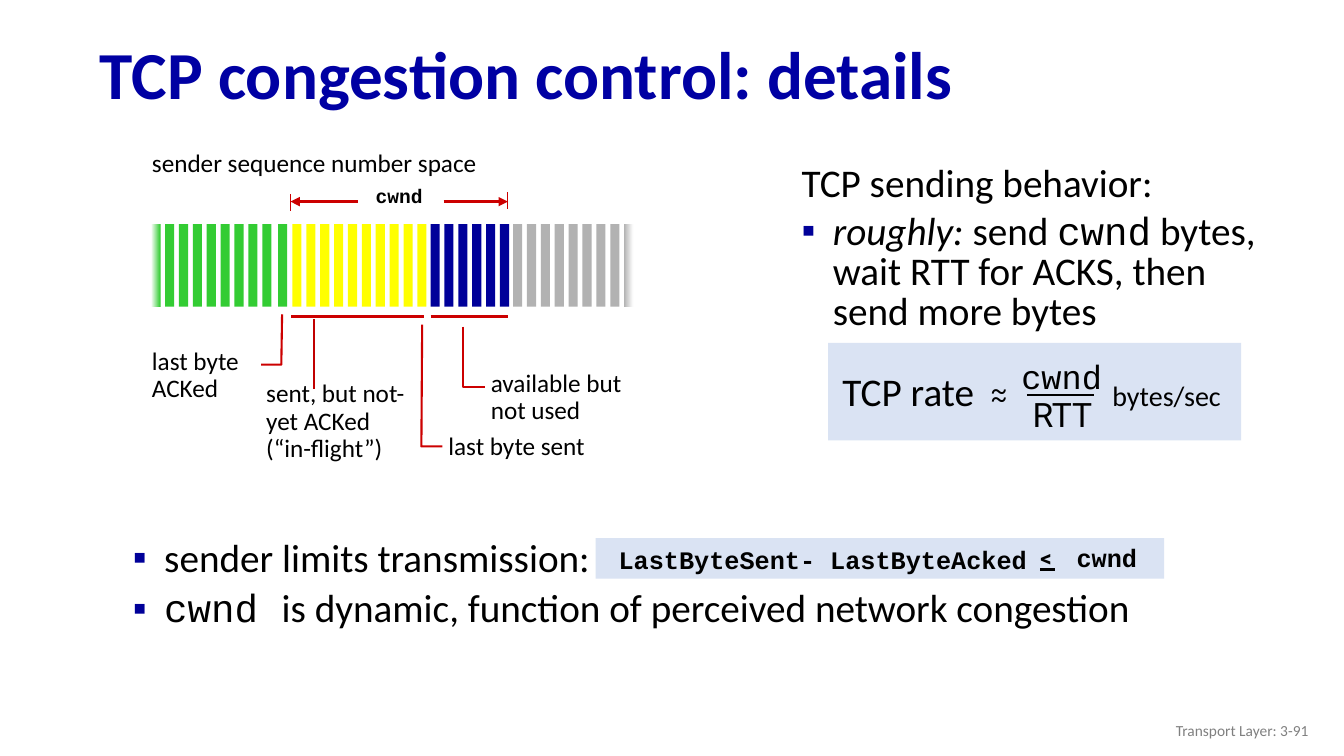
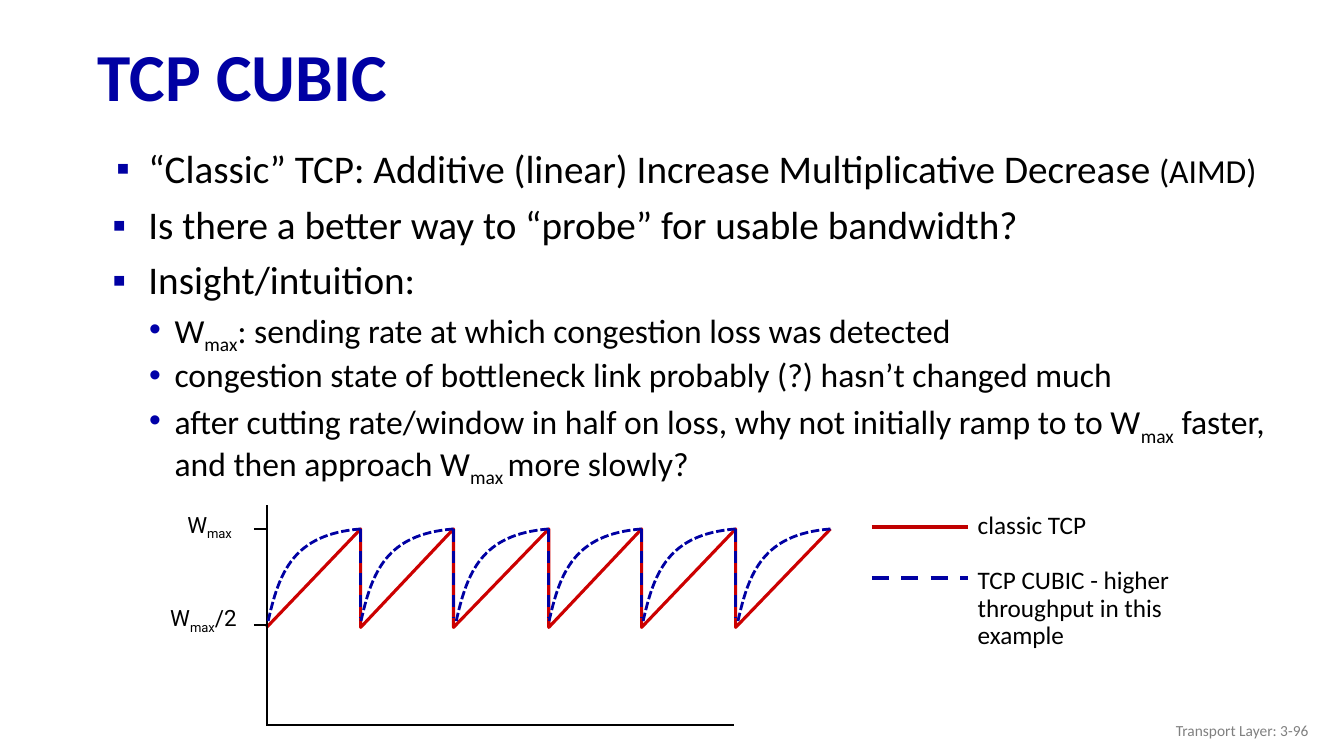
from dataclasses import dataclass

import lxml.etree
import pptx
import pptx.dml.color
import pptx.enum.dml
import pptx.enum.shapes
import pptx.enum.text
import pptx.oxml.ns
import pptx.util

Cm = pptx.util.Cm
Pt = pptx.util.Pt
Align = pptx.enum.text.PP_ALIGN
Anchor = pptx.enum.text.MSO_ANCHOR
Dash = pptx.enum.dml.MSO_LINE
qn = pptx.oxml.ns.qn
Point = tuple[float, float]
Area = tuple[float, float, float, float]

NAVY, BLUE, RED = "0000A3", "000099", "CC0000"
DARK_RED, BLACK, WHITE = "C00000", "000000", "FFFFFF"
GREEN, YELLOW, GREY = "33CC33", "FFFF00", "B2B2B2"
FOOTER_GREY, PANEL = "808080", "DAE3F3"
SANS, MONO, ROBOTO = "Calibri", "Courier New", "Roboto"


@dataclass(frozen=True)
class Span:
    text: str
    size: float = 28
    font: str = SANS
    italic: bool = False
    subscript: bool = False


@dataclass(frozen=True)
class Para:
    spans: tuple[Span, ...]
    bullet: str = ""
    bullet_color: str = NAVY
    indent: float = 0
    hanging: float = 0
    line: float = 0.9
    before: float = 0


@dataclass(frozen=True)
class Label:
    text: str
    area: Area
    size: float = 18
    font: str = SANS
    bold: bool = False
    align: Align = Align.LEFT
    line: float = 1.0
    wrap: bool = False
    color: str = BLACK
    anchor: Anchor = Anchor.TOP


@dataclass(frozen=True)
class ByteGroup:
    color: str
    left: float
    count: int


@dataclass(frozen=True)
class Line:
    start: Point
    end: Point
    color: str = BLACK
    width: float = 1.5
    dash: Dash | None = None
    arrow: bool = False


def rgb(color: str) -> pptx.dml.color.RGBColor:
    return pptx.dml.color.RGBColor.from_string(color)


def style_font(font, size: float, name: str, color: str = BLACK) -> None:
    font.size = Pt(size)
    font.name = name
    font.color.rgb = rgb(color)


def style_line(line, color: str, width: float, dash: Dash | None) -> None:
    line.color.rgb = rgb(color)
    line.width = Pt(width)
    if dash is not None:
        line.dash_style = dash


def add_label(page, label: Label) -> None:
    frame = page.shapes.add_textbox(*map(Cm, label.area)).text_frame
    frame.word_wrap = label.wrap
    frame.vertical_anchor = label.anchor
    frame.text = label.text
    for para in frame.paragraphs:
        para.alignment = label.align
        para.line_spacing = label.line
        for run in para.runs:
            style_font(run.font, label.size, label.font, label.color)
            run.font.bold = label.bold


def add_bullet(para, item: Para) -> None:
    properties = para._p.get_or_add_pPr()
    properties.set("marL", str(Cm(item.indent)))
    properties.set("indent", str(-Cm(item.hanging)))
    bullet_color = lxml.etree.SubElement(properties, qn("a:buClr"))
    lxml.etree.SubElement(bullet_color, qn("a:srgbClr"), val=item.bullet_color)
    lxml.etree.SubElement(properties, qn("a:buFont"), typeface="Arial")
    lxml.etree.SubElement(properties, qn("a:buChar"), char=item.bullet)


def add_rich_text(page, area: Area, paras: list[Para], wrap: bool = True) -> None:
    frame = page.shapes.add_textbox(*map(Cm, area)).text_frame
    frame.word_wrap = wrap
    for index, item in enumerate(paras):
        para = frame.add_paragraph() if index else frame.paragraphs[0]
        para.line_spacing = item.line
        para.space_before = Pt(item.before)
        if item.bullet:
            add_bullet(para, item)
        for span in item.spans:
            run = para.add_run()
            run.text = span.text
            style_font(run.font, span.size, span.font)
            run.font.italic = span.italic
            if span.subscript:
                run._r.get_or_add_rPr().set("baseline", "-25000")


def add_rectangle(page, area: Area, color: str):
    box = page.shapes.add_shape(
        pptx.enum.shapes.MSO_SHAPE.RECTANGLE, *map(Cm, area))
    box.shadow.inherit = False
    box.fill.solid()
    box.fill.fore_color.rgb = rgb(color)
    box.line.fill.background()
    return box


def fade(box, left_color: str, right_color: str) -> None:
    box.fill.gradient()
    box.fill.gradient_angle = 0
    for stop, color in zip(box.fill.gradient_stops, (left_color, right_color)):
        stop.color.rgb = rgb(color)


def add_line(page, line: Line) -> None:
    connector = page.shapes.add_connector(
        pptx.enum.shapes.MSO_CONNECTOR.STRAIGHT, *map(Cm, line.start + line.end))
    style_line(connector.line, line.color, line.width, line.dash)
    if line.arrow:
        outline = connector.line._get_or_add_ln()
        lxml.etree.SubElement(outline, qn("a:tailEnd"), type="triangle")
    lxml.etree.SubElement(connector._element.spPr, qn("a:effectLst"))


def add_polyline(page, points: list[Point], color: str = RED,
                 width: float = 1.5, dash: Dash | None = None):
    start, *others = [(Cm(x), Cm(y)) for x, y in points]
    builder = page.shapes.build_freeform(*start)
    builder.add_line_segments(others, close=False)
    outline = builder.convert_to_shape()
    outline.shadow.inherit = False
    outline.fill.background()
    style_line(outline.line, color, width, dash)
    return outline


def add_curve(page, start: Point, handles: list[Point], end: Point) -> None:
    """Draw a dashed cubic curve whose handles lie within the box of its ends."""
    outline = add_polyline(page, [start, end], NAVY, 2, Dash.SQUARE_DOT)
    segment = next(outline._element.iter(qn("a:lnTo")))
    curve = lxml.etree.Element(qn("a:cubicBezTo"))
    for x, y in handles:
        lxml.etree.SubElement(curve, qn("a:pt"), x=str(Cm(x) - outline.left),
                              y=str(Cm(y) - outline.top))
    curve.extend(list(segment))
    segment.getparent().replace(segment, curve)


def add_page(deck, title: str, number: int, left: float, top: float):
    page = deck.slides.add_slide(deck.slide_layouts[6])
    add_label(page, Label(title, (left, top, 31.6, 2.49), 48, bold=True, line=0.9,
                          wrap=True, color=NAVY, anchor=Anchor.MIDDLE))
    add_label(page, Label(f"Transport Layer: 3-{number}", (25.61, 17.9, 7.62, 1.02), 11,
                          align=Align.RIGHT, wrap=True, color=FOOTER_GREY,
                          anchor=Anchor.MIDDLE))
    return page


def add_sequence_space(page) -> None:
    add_rectangle(page, (3.66, 8.13, 12.5, 0.3), WHITE)
    groups = (ByteGroup(GREEN, 3.81, 9), ByteGroup(GREEN, 7.01, 1),
              ByteGroup(YELLOW, 7.37, 10), ByteGroup(BLUE, 10.85, 6),
              ByteGroup(GREY, 12.93, 9))
    bars = [add_rectangle(page, (group.left + 0.35 * index, 5.65, 0.23, 2.08), group.color)
            for group in groups for index in range(group.count)]
    fade(bars[0], WHITE, GREEN)
    fade(bars[-1], GREY, WHITE)
    add_rectangle(page, (3.96, 5.28, 12.5, 0.3), WHITE)

    window_left, window_right, arrow_y, underline_y = 7.32, 12.8, 5.08, 7.98
    for line in (
        Line((11.18, arrow_y), (window_right, arrow_y), RED, 2.25, arrow=True),
        Line((9.02, arrow_y), (window_left, arrow_y), RED, 2.25, arrow=True),
        Line((window_left, 5.31), (window_left, 4.88), RED, 0.75),
        Line((window_right, 4.85), (window_right, 5.26), RED, 0.75),
        Line((7.34, underline_y), (10.69, underline_y), RED, 2.25),
        Line((10.85, underline_y), (window_right, underline_y), RED, 2.25),
        Line((7.92, 8.05), (7.92, 9.8), DARK_RED),
    ):
        add_line(page, line)
    for elbow in (
        [(7.11, 7.92), (7.09, 9.19), (6.58, 9.19)],
        [(10.64, 8.18), (10.62, 11.25), (11.15, 11.25)],
        [(11.68, 8.23), (11.68, 9.75), (12.22, 9.75)],
    ):
        add_polyline(page, elbow)
    for label in (
        Label("sender sequence number space", (3.58, 3.58, 8.94, 1.02)),
        Label("cwnd", (8.94, 4.57, 2.24, 0.97), 14, MONO, True, Align.CENTER, 0.9),
        Label("last byte\nACKed", (3.58, 8.66, 2.74, 1.65), line=0.9),
        Label("last byte sent", (11.05, 10.8, 4.45, 0.94), line=0.9, wrap=True),
        Label("available but not used", (12.12, 9.22, 4.45, 1.65), line=0.9, wrap=True),
        Label("sent, but not-yet ACKed\n(“in-flight”)", (6.46, 9.48, 4.62, 2.34),
              line=0.9, wrap=True),
    ):
        add_label(page, label)


def add_rate_formula(page) -> None:
    add_rectangle(page, (20.87, 8.64, 10.41, 2.46), PANEL)
    for label in (
        Label("TCP rate", (20.96, 9.14, 3.86, 1.45), 28, align=Align.CENTER),
        *(Label("~", (23.88, top, 2.59, 1.02), font=ROBOTO, align=Align.CENTER, wrap=True)
          for top in (9.3, 9.5)),
        Label("cwnd", (25.47, 8.84, 2.57, 1.3), 24, MONO, align=Align.CENTER),
        Label("RTT", (25.76, 9.8, 2.03, 1.3), 24, ROBOTO, align=Align.CENTER),
        Label("bytes/sec", (27.75, 9.42, 3.3, 1.12), 20, align=Align.CENTER),
    ):
        add_label(page, label)
    add_line(page, Line((25.88, 9.96), (27.58, 9.96)))


def add_window_limit(page) -> None:
    add_rectangle(page, (15.01, 13.56, 14.33, 1.02), PANEL)
    for label in (
        Label("LastByteSent- LastByteAcked", (15.34, 13.72, 12.22, 0.94), 18, MONO, True,
              line=0.85, wrap=True),
        Label("<", (25.88, 13.59, 0.97, 0.94), 16, ROBOTO, True, Align.CENTER),
        Label("cwnd", (26.88, 13.54, 2.03, 1.02), 18, MONO, True, Align.CENTER),
    ):
        add_label(page, label)
    add_line(page, Line((26.21, 14.35), (26.59, 14.35)))


def square_bullet(*spans: Span, line: float = 0.9) -> Para:
    return Para(spans, "▪", BLUE, 0.79, 0.79, line, 6)


def build_details(deck) -> None:
    page = add_page(deck, "TCP congestion control: details", 91, 2.27, 0.71)
    add_sequence_space(page)
    add_rich_text(page, (19.95, 4.04, 12.75, 6.81), [
        Para((Span("TCP sending behavior:"),), line=0.85, before=6),
        square_bullet(Span("roughly:", italic=True), Span(" send "), Span("cwnd", font=MONO),
                      Span(" bytes, wait RTT for ACKS, then send more bytes"), line=0.85),
    ])
    add_rate_formula(page)
    add_window_limit(page)
    add_rich_text(page, (3.1, 13.44, 26.75, 4.7), [
        square_bullet(Span("sender limits transmission:")),
        square_bullet(Span("cwnd ", font=MONO),
                      Span("is dynamic, function of perceived network congestion")),
    ])


def add_rate_plot(page) -> None:
    left, top, bottom = 6.72, 13.33, 15.81
    peaks = (9.09, 11.43, 13.83, 16.17, 18.54, 20.93)
    sawtooth = [point for start, peak in zip((left, *peaks), peaks)
                for point in ((start, bottom), (peak, top))]
    add_polyline(page, sawtooth, RED, 2.25)
    for line in (
        Line((left, 18.26), (18.49, 18.26)),
        Line((left, 12.73), (left, 18.29)),
        Line((6.4, 13.34), (left, 13.34)),
        Line((6.4, 15.75), (left, 15.75)),
    ):
        add_line(page, line)
    for peak in peaks:
        add_curve(page, (peak, top), [(peak - 1.7, top + 0.13), (peak - 2.06, top + 1.09)],
                  (peak - 2.34, top + 2.36))
    for peak in peaks[:-1]:
        add_line(page, Line((peak, top), (peak, top + 2.22), NAVY, 2.25, Dash.DASH))

    window_max = (Span("W", 16, ROBOTO), Span("max", 16, ROBOTO, subscript=True))
    add_rich_text(page, (4.47, 12.75, 1.73, 0.94), [Para(window_max, line=1.0)], wrap=False)
    add_rich_text(page, (4.04, 15.11, 2.26, 0.94),
                  [Para(window_max + (Span("/2", 16, ROBOTO),), line=1.0)], wrap=False)


def add_legend(page) -> None:
    add_line(page, Line((21.97, 13.28), (24.39, 13.28), DARK_RED, 3))
    add_line(page, Line((21.97, 14.56), (24.39, 14.56), NAVY, 3, Dash.DASH))
    add_label(page, Label("classic TCP", (24.39, 12.7, 3.28, 1.02)))
    add_label(page, Label("TCP CUBIC - higher throughput in this example",
                          (24.39, 14.19, 6.07, 2.34), line=0.9, wrap=True))


def main_point(*spans: Span, hanging: float = 0.91) -> Para:
    return Para(spans, "▪", NAVY, 1.27, hanging, before=10)


def sub_point(*spans: Span) -> Para:
    return Para(spans, "•", "0000A8", 1.93, 0.64, before=5)


def build_cubic(deck) -> None:
    page = add_page(deck, "TCP CUBIC", 96, 2.22, 0.76)
    add_rich_text(page, (2.22, 3.64, 31.01, 3), [
        main_point(Span("“Classic” TCP: Additive (linear) Increase Multiplicative Decrease "),
                   Span("(AIMD)", 24), hanging=0.81),
        main_point(Span("Is there a better way to “probe” for usable bandwidth?")),
    ])
    add_rich_text(page, (2.22, 6.45, 31.01, 6), [
        main_point(Span("Insight/intuition:")),
        sub_point(Span("W", 24), Span("max", 24, subscript=True),
                  Span(": sending rate at which congestion loss was detected", 24)),
        sub_point(Span("congestion state of bottleneck link probably (?) hasn’t changed much",
                       24)),
        sub_point(Span("after cutting rate/window in half on loss, why not initially "
                       "ramp to to W", 24),
                  Span("max", 24, subscript=True), Span(" faster, and then approach W", 24),
                  Span("max ", 24, subscript=True), Span("more slowly?", 24)),
    ])
    add_rate_plot(page)
    add_legend(page)


def main() -> None:
    deck = pptx.Presentation()
    deck.slide_width, deck.slide_height = Cm(33.87), Cm(19.05)
    build_details(deck)
    build_cubic(deck)
    deck.save("out.pptx")


if __name__ == "__main__":
    main()
